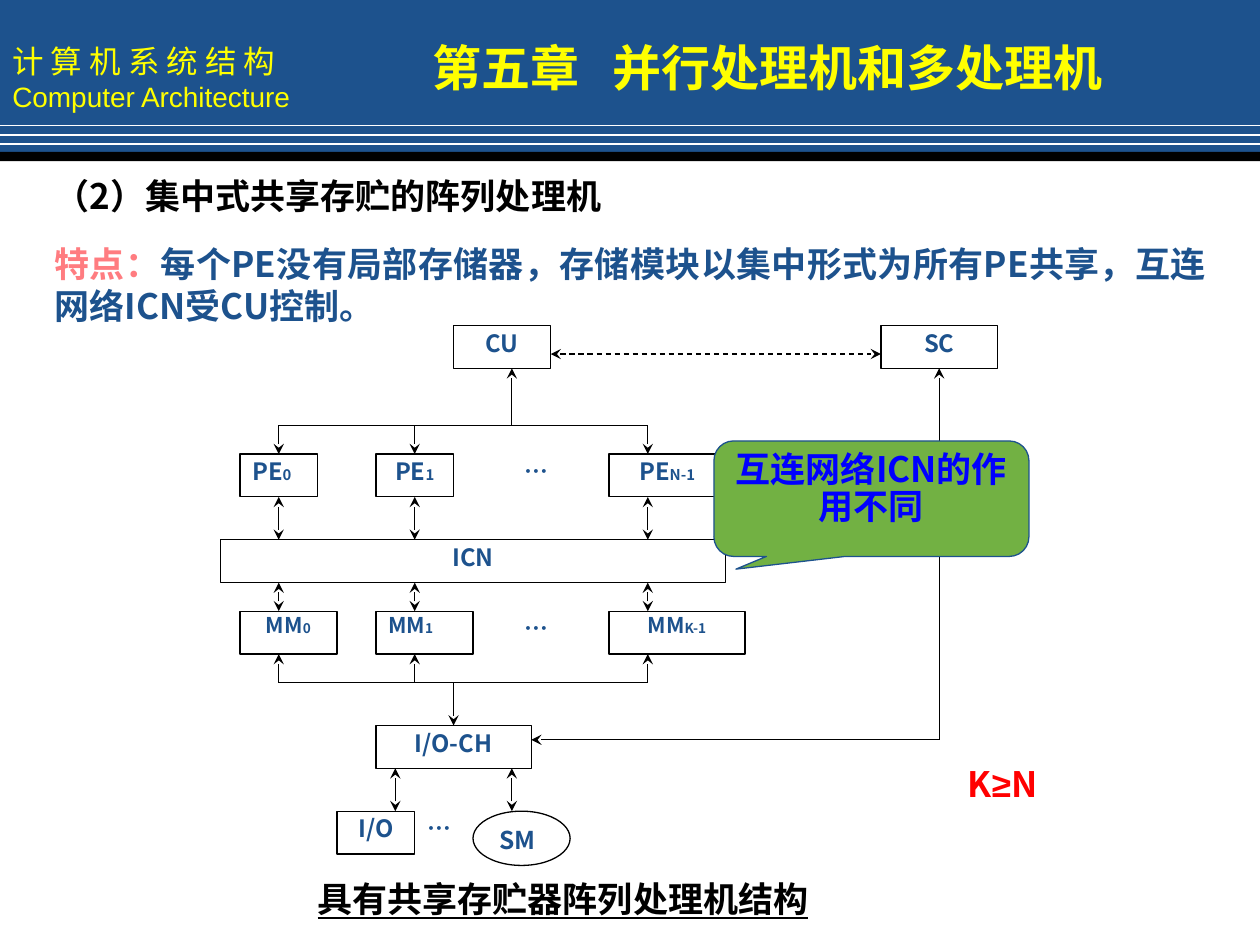
from lxml.etree import SubElement as Sub
from pptx import Presentation
from pptx.dml.color import RGBColor as RGB
from pptx.enum.dml import MSO_LINE as Dash
from pptx.enum.shapes import MSO_CONNECTOR as Conn, MSO_SHAPE as Kind
from pptx.enum.text import MSO_ANCHOR as Anchor, MSO_AUTO_SIZE as Auto, PP_ALIGN as Align
from pptx.oxml.ns import qn
from pptx.util import Inches, Pt

HUE = {"blue": "1D528D", "gold": "FFFF00", "black": "000000", "white": "FFFFFF",
       "pink": "FF7C80", "red": "FF0000", "green": "72B143", "ink": "0000FF"}
CJK = "Noto Sans CJK SC"
COLS, ROWS = 120, 90


def grid(x, y, w, h):
    """Turn cells of the slide grid into a box in EMU."""
    dx, dy = Inches(10) / COLS, Inches(7.5) / ROWS
    return [round(v) for v in (x * dx, y * dy, w * dx, h * dy)]


def move(shape, box):
    shape.left, shape.top, shape.width, shape.height = box


def frame(shape, anchor=Anchor.TOP):
    text = shape.text_frame
    text.word_wrap = True
    text.auto_size = Auto.NONE
    text.vertical_anchor = anchor
    text.margin_left = text.margin_right = Inches(0.1)
    text.margin_top = text.margin_bottom = Inches(0.05)
    return text


def start(para, align=Align.LEFT, before=0, line=1.0):
    para.alignment = align
    para.space_before = Pt(before)
    para.line_spacing = line
    return para


def write(para, words, size, hue, bold=True, face=CJK, under=None):
    run = para.add_run()
    run.text = words
    font = run.font
    font.size, font.bold, font.underline, font.name = Pt(size), bold, under, face
    font.color.rgb = RGB.from_string(HUE[hue])
    Sub(font._element, qn("a:ea")).set("typeface", face)


def plain(para):
    """Drop the bullet and the hanging indent."""
    props = para._p.get_or_add_pPr()
    props.set("marL", "0")
    props.set("indent", "0")
    Sub(props, qn("a:buNone"))


def draw(shapes, kind, box, fill=None, line=None):
    shape = shapes.add_shape(kind, *box)
    shape.shadow.inherit = False
    if fill:
        shape.fill.solid()
        shape.fill.fore_color.rgb = RGB.from_string(HUE[fill])
    else:
        shape.fill.background()
    if line:
        shape.line.color.rgb = RGB.from_string(HUE[line])
        shape.line.width = Pt(0.75)
    else:
        shape.line.fill.background()
    return shape


def link(shapes, ends, hue="black", width=0.75, tips="", dash=False):
    """Join two points; tips names the ends that have arrowheads."""
    wire = shapes.add_connector(Conn.STRAIGHT, *ends)
    wire.line.color.rgb = RGB.from_string(HUE[hue])
    wire.line.width = Pt(width)
    if dash:
        wire.line.dash_style = Dash.DASH
    for tip in tips.split():
        Sub(wire.line._ln, qn(f"a:{tip}End")).set("type", "stealth")
    Sub(wire._element.spPr, qn("a:effectLst"))


def header(slide, box):
    shapes = slide.shapes
    left, top, width, height = box
    band = draw(shapes, Kind.RECTANGLE, box, "blue")
    text = frame(band, Anchor.MIDDLE)
    write(start(text.paragraphs[0]), "计 算 机 系 统 结 构", 18, "gold", False)
    write(start(text.add_paragraph()), "Computer Architecture", 16, "gold", False, "Arial")
    strip = (left, top + round(height * 0.98), width, round(height * 0.06))
    draw(shapes, Kind.RECTANGLE, strip, "black")
    for share in (0.81, 0.87, 0.93):
        y = top + round(height * share)
        link(shapes, (left, y, left + width, y), "white", 1)


def heading(slide, box):
    title = slide.shapes.title
    slide.shapes._spTree.append(title._element)  # in front of the band
    move(title, box)
    para = start(frame(title).paragraphs[0])
    stops = Sub(para._p.get_or_add_pPr(), qn("a:tabLst"))
    Sub(stops, qn("a:tab"), pos=str(Inches(1.43)), algn="l")
    write(para, "第五章\t并行处理机和多处理机", 28, "gold")


def body(slide, box):
    hold = slide.placeholders[1]
    move(hold, box)
    text = frame(hold)
    para = start(text.paragraphs[0], Align.JUSTIFY)
    plain(para)
    write(para, "（2）集中式共享存贮的阵列处理机", 20, "black")
    para = start(text.add_paragraph(), Align.JUSTIFY, 15)
    plain(para)
    write(para, "特点：", 20, "pink")
    write(para, "每个PE没有局部存储器，存储模块以集中形式为所有PE共享，"
                "互连网络ICN受CU控制。", 20, "blue")


def diagram(slide, box):
    """Draw the array processor on 40 columns and 38 rows."""
    shapes = slide.shapes
    left, top, width, height = box

    def x(col):
        return round(left + width * col / 40)

    def y(row):
        return round(top + height * row / 38)

    def area(col, row, wide, high=3):
        return x(col), y(row), x(col + wide) - x(col), y(row + high) - y(row)

    def label(shape, name, sub="", size=13.6, align=Align.CENTER, line=0.9):
        para = start(frame(shape).paragraphs[0], align, line=line)
        write(para, name, size, "blue")
        if sub:
            write(para, sub, round(size * 0.625, 1), "blue")

    def wire(c1, r1, c2, r2, tips="", dash=False):
        link(shapes, (x(c1), y(r1), x(c2), y(r2)), tips=tips, dash=dash)

    both, one = "head tail", "tail"
    units = [("CU", 12, 0, 5), ("SC", 34, 0, 6), ("ICN", 0, 15, 26),
             ("I/O-CH", 8, 28, 8), ("I/O", 6, 34, 4)]
    for name, col, row, wide in units:
        label(draw(shapes, Kind.RECTANGLE, area(col, row, wide), line="black"), name)
    nodes = [("PE", "0", 1, 9, 4, Align.JUSTIFY), ("PE", "1", 8, 9, 4, Align.CENTER),
             ("PE", "N-1", 20, 9, 6, Align.CENTER), ("MM", "0", 1, 20, 5, Align.CENTER),
             ("MM", "1", 8, 20, 5, Align.JUSTIFY), ("MM", "K-1", 20, 20, 7, Align.CENTER)]
    for name, sub, col, row, wide, align in nodes:
        size, line = (13.6, 0.9) if name == "PE" else (12.4, 0.8)
        node = draw(shapes, Kind.RECTANGLE, area(col, row, wide), line="black")
        label(node, name, sub, size, align, line)
    disk = draw(shapes, Kind.OVAL, area(13, 34, 5, 3.8), line="black")
    label(disk, "SM", size=14, align=Align.JUSTIFY, line=1.0)
    for col, row in ((15, 9), (15, 20), (10, 34)):
        label(shapes.add_textbox(*area(col, row, 5)), "…", align=Align.JUSTIFY)

    wire(17, 2, 34, 2, both, True)
    wire(37, 29, 16, 29, one)
    wire(37, 29, 37, 3, one)
    wire(15, 7, 15, 3, one)
    wire(12, 25, 12, 28, one)
    for row in (7, 25):
        wire(3, row, 22, row)
    for col in (3, 10, 22):
        wire(col, 7, col, 9, one)
        wire(col, 15, col, 12, both)
        wire(col, 20, col, 18, both)
        wire(col, 25, col, 23, one)
    for col in (9, 15):
        wire(col, 34, col, 31, both)


def caption(slide, box):
    text = frame(slide.shapes.add_textbox(*box))
    text.margin_left = Inches(0.52)
    write(start(text.paragraphs[0]), "具有共享存贮器阵列处理机结构", 20, "black", under=True)


def rule(slide, box):
    para = start(frame(slide.shapes.add_textbox(*box)).paragraphs[0])
    for sign, face in (("K", CJK), ("≥", "Arial"), ("N", CJK)):
        write(para, sign, 20, "red", face=face)


def callout(slide, box):
    note = draw(slide.shapes, Kind.ROUNDED_RECTANGULAR_CALLOUT, box, "green", "blue")
    for i, value in enumerate((-0.43, 0.61, 0.17)):
        note.adjustments[i] = value
    para = start(frame(note).paragraphs[0], Align.CENTER, line=0.88)
    write(para, "互连网络ICN的作用不同", 20, "ink")


def main():
    deck = Presentation()
    deck.slide_width, deck.slide_height = Inches(10), Inches(7.5)
    slide = deck.slides.add_slide(deck.slide_layouts[1])
    header(slide, grid(0, 0, 120, 14.76))
    body(slide, grid(4, 16, 112, 16.5))
    diagram(slide, grid(21, 31, 74, 51.7))
    caption(slide, grid(24, 83, 64, 5.3))
    rule(slide, grid(91, 72, 12, 5.3))
    callout(slide, grid(68, 42, 30, 11))
    heading(slide, grid(40, 3, 77, 6.8))
    deck.save("out.pptx")


if __name__ == "__main__":
    main()
